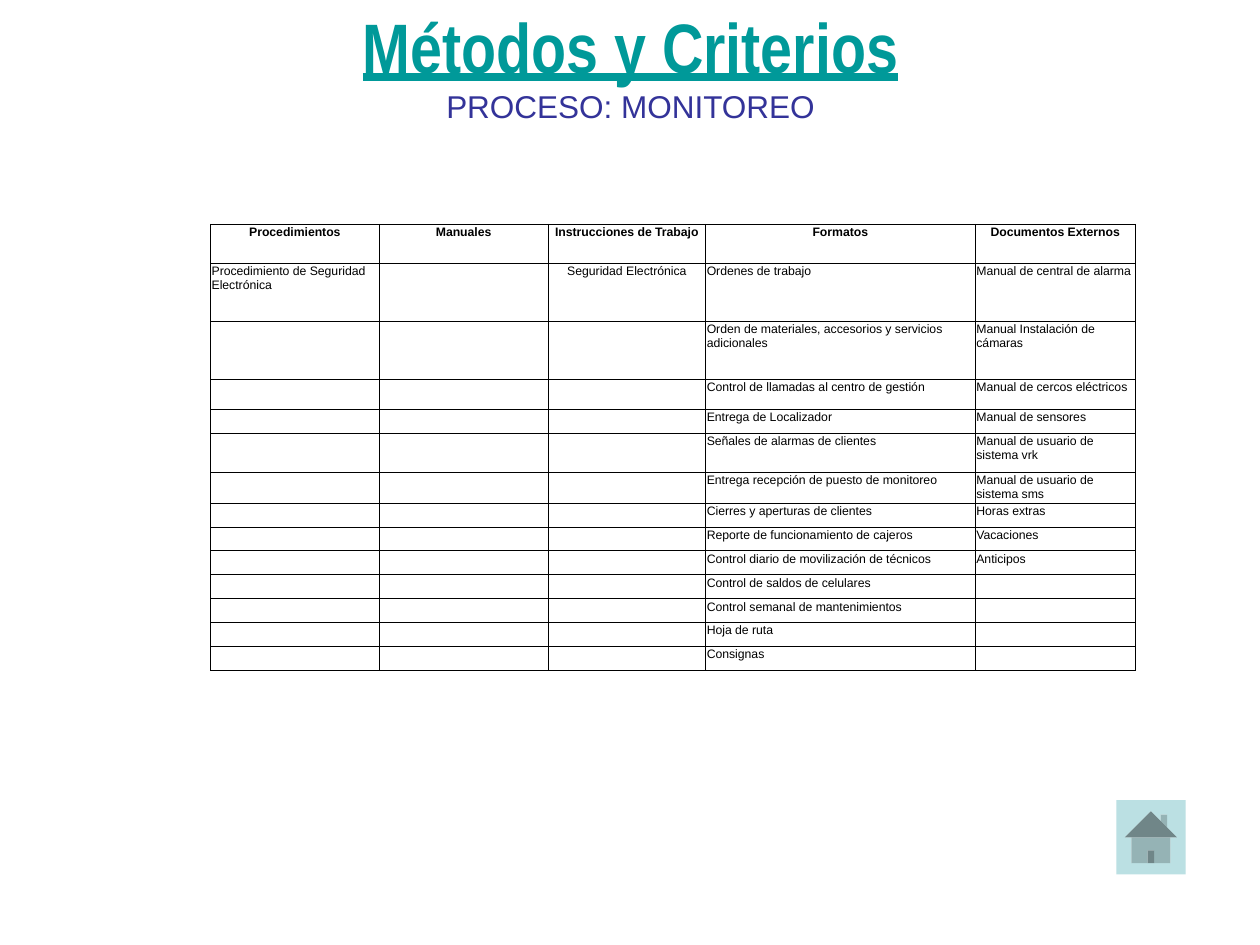
from lxml.etree import SubElement
from pptx import Presentation
from pptx.dml.color import RGBColor
from pptx.enum.shapes import MSO_SHAPE as Shape
from pptx.enum.text import MSO_ANCHOR as Anchor, PP_ALIGN as Align
from pptx.oxml.ns import qn
from pptx.util import Inches, Pt

COLORS = {"title": "009999", "process": "333399", "button": "BBE0E3", "ink": "000000"}
CELL_SIZE = 7
COLUMN_WIDTHS = [1.34, 1.34, 1.25, 2.14, 1.27]
ROW_HEIGHTS = [0.31, 0.46, 0.46, 0.24, 0.19, 0.31, 0.24] + [0.19] * 7
HEADERS = ["Procedimientos", "Manuales", "Instrucciones de Trabajo", "Formatos",
           "Documentos Externos"]
PROCEDURES = ["Procedimiento de Seguridad Electrónica"]
MANUALS = []
INSTRUCTIONS = ["Seguridad Electrónica"]
FORMATS = [
    "Ordenes de trabajo",
    "Orden de materiales, accesorios y servicios adicionales",
    "Control de llamadas al centro de gestión",
    "Entrega de Localizador",
    "Señales de alarmas de clientes",
    "Entrega recepción de puesto de monitoreo",
    "Cierres y aperturas de clientes",
    "Reporte de funcionamiento de cajeros",
    "Control diario de movilización de técnicos",
    "Control de saldos de celulares",
    "Control semanal de mantenimientos",
    "Hoja de ruta",
    "Consignas",
]
EXTERNAL_DOCUMENTS = [
    "Manual de central de alarma",
    "Manual Instalación de cámaras",
    "Manual de cercos eléctricos",
    "Manual de sensores",
    "Manual de usuario de sistema vrk",
    "Manual de usuario de sistema sms",
    "Horas extras",
    "Vacaciones",
    "Anticipos",
]
COLUMNS = [PROCEDURES, MANUALS, INSTRUCTIONS, FORMATS, EXTERNAL_DOCUMENTS]
CENTERED_COLUMN = COLUMNS.index(INSTRUCTIONS)


def rgb(name):
    return RGBColor.from_string(COLORS[name])


def add_span(para, text, size, color, font="Arial", bold=False, underline=False):
    span = para.add_run()
    span.text = text
    span.font.name = font
    span.font.size = Pt(size)
    span.font.bold = bold
    span.font.underline = underline
    span.font.color.rgb = rgb(color)


def add_heading(page, left, top, width, height):
    box = page.shapes.add_textbox(left, top, width, height)
    frame = box.text_frame
    frame.word_wrap = True
    frame.vertical_anchor = Anchor.BOTTOM
    para = frame.paragraphs[0]
    para.alignment = Align.CENTER
    add_span(para, "Métodos y Criterios", 40, "title", "Arial Narrow", True, True)
    para.add_line_break()
    add_span(para, "PROCESO: MONITOREO", 18, "process")


def add_borders(cell):
    """Draw a thin line on all four sides; call before setting the fill."""
    properties = cell._tc.get_or_add_tcPr()
    for side in ("a:lnL", "a:lnR", "a:lnT", "a:lnB"):
        line = SubElement(properties, qn(side), w=str(Pt(0.5)))
        fill = SubElement(line, qn("a:solidFill"))
        SubElement(fill, qn("a:srgbClr"), val=COLORS["ink"])


def fill_cell(cell, text, bold, centered):
    add_borders(cell)
    cell.fill.background()
    cell.margin_left = cell.margin_right = cell.margin_top = Inches(0.01)
    cell.margin_bottom = 0
    para = cell.text_frame.paragraphs[0]
    para.alignment = Align.CENTER if centered else Align.LEFT
    if text:
        add_span(para, text, CELL_SIZE, "ink", bold=bold)
    else:
        # An empty cell needs a small text size too, or its row grows.
        SubElement(para._p, qn("a:endParaRPr"), sz=str(CELL_SIZE * 100))


def add_documents_table(page, left, top, width, height):
    table = page.shapes.add_table(len(ROW_HEIGHTS), len(COLUMNS),
                                  left, top, width, height).table
    table.first_row = table.horz_banding = False
    for row, row_height in zip(table.rows, ROW_HEIGHTS):
        row.height = Inches(row_height)
    for index, (header, entries) in enumerate(zip(HEADERS, COLUMNS)):
        table.columns[index].width = Inches(COLUMN_WIDTHS[index])
        fill_cell(table.cell(0, index), header, True, True)
        for row in range(1, len(ROW_HEIGHTS)):
            text = entries[row - 1] if row <= len(entries) else ""
            fill_cell(table.cell(row, index), text, False, index == CENTERED_COLUMN)


def add_home_button(page, left, top, width, height):
    button = page.shapes.add_shape(Shape.ACTION_BUTTON_HOME, left, top, width, height)
    button.shadow.inherit = False
    button.fill.solid()
    button.fill.fore_color.rgb = rgb("button")
    button.line.fill.background()


def main():
    deck = Presentation()
    deck.slide_width, deck.slide_height = Inches(10), Inches(7.5)
    page = deck.slides.add_slide(deck.slide_layouts[6])
    add_home_button(page, Inches(8.86), Inches(6.35), Inches(0.55), Inches(0.59))
    add_heading(page, Inches(0.2), Inches(0.39), Inches(9.61), Inches(0.65))
    add_documents_table(page, Inches(1.67), Inches(1.78), Inches(7.35), Inches(3.56))
    deck.save("out.pptx")


if __name__ == "__main__":
    main()
